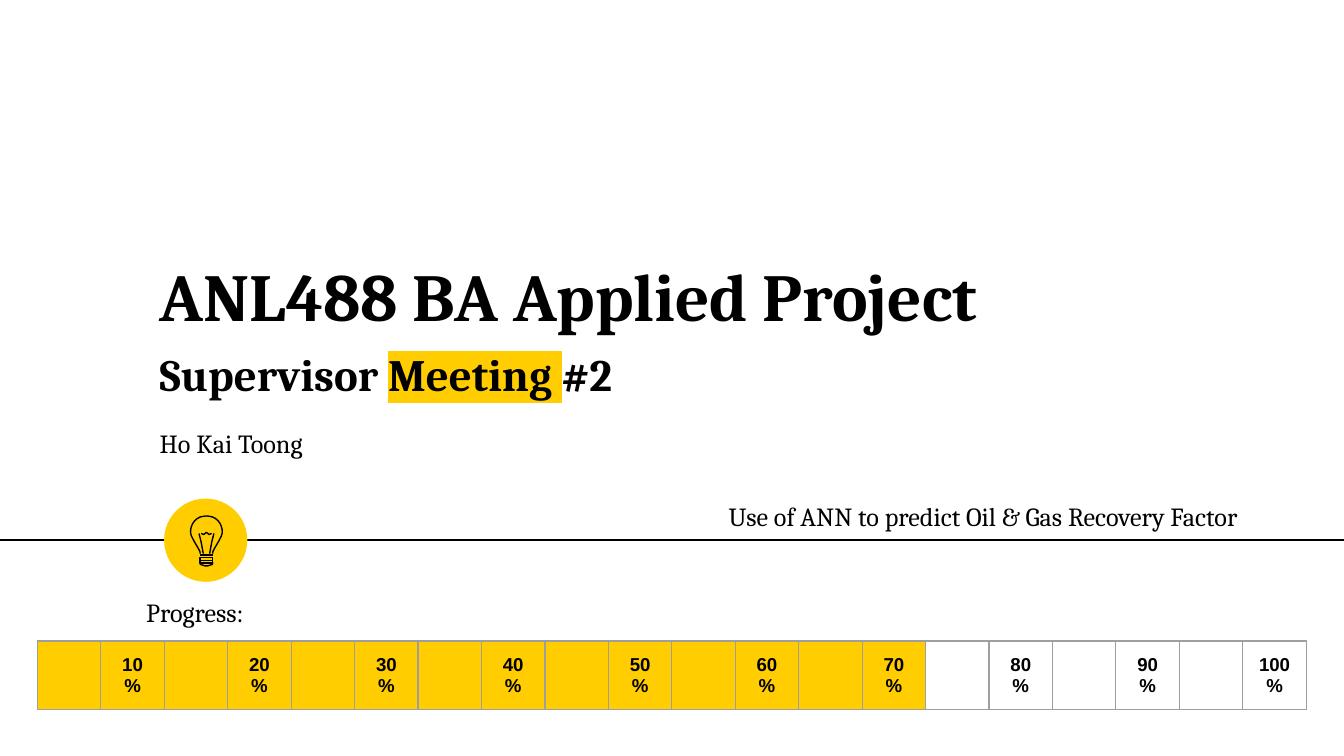
from lxml import etree
from pptx import Presentation
from pptx.dml.color import RGBColor
from pptx.enum.shapes import MSO_CONNECTOR, MSO_SHAPE
from pptx.enum.text import MSO_ANCHOR, MSO_AUTO_SIZE, PP_ALIGN
from pptx.oxml import parse_xml
from pptx.oxml.ns import nsdecls, qn
from pptx.util import Pt


class Theme:
    black = RGBColor.from_string("000000")
    accent = RGBColor.from_string("FFCD00")
    grid = RGBColor.from_string("9E9E9E")
    serif, sans = "Cambria", "Arial"
    title, subtitle, body, label = 36, 24, 14, 10
    line, inset = 0.75, 7.2


# Content: (left, top, width, height), size, bold, anchor, runs as (words, highlighted)
TEXTS = [
    ((78.5, 127.4, 501, 59), Theme.title, True, MSO_ANCHOR.BOTTOM,
     [("ANL488 BA Applied Project", False)]),
    ((78.5, 178.6, 451.5, 44), Theme.subtitle, True, MSO_ANCHOR.TOP,
     [("Supervisor ", False), ("Meeting ", True), ("#2", False)]),
    ((78.5, 221.8, 145, 31.7), Theme.body, False, MSO_ANCHOR.TOP,
     [("Ho Kai Toong", False)]),
    ((71.2, 312.2, 148, 31.7), Theme.body, False, MSO_ANCHOR.TOP,
     [("Progress:", False)]),
    ((383.2, 260.8, 336, 31.7), Theme.body, False, MSO_ANCHOR.TOP,
     [("Use of ANN to predict Oil & Gas Recovery Factor", False)]),
]
PROGRESS, STEP, CELLS = 70, 5, 20

SLIDE_W, SLIDE_H = 720, 405
RULE_Y = 289.4
DISC_X, DISC_SIZE = 110.2, 44.6
TABLE_TOP, CELL_W, CELL_H = 343.4, 34, 31

# Light bulb, measured from its axis on the rule; right halves are mirrored
BULB_X = 110.6
GLASS = [(3.3, 7.2), (3.5, 6), (4.3, 4.5), (5.3, 2.7), (6.5, 0.7), (7.2, -0.7),
         (8, -2.2), (8.4, -3.6), (8.5, -4.3), (8.4, -5.8), (8, -7.4), (7.3, -9),
         (6.2, -10.5), (4.9, -11.6), (3.4, -12.4), (1.7, -12.8), (0, -13)]
WIRE = [(4, -3.6), (2.9, 0.7), (1.7, 7.2)]
COIL = [(2.8, -3.6), (1.4, -3), (0, -4.2)]
CAP = [(3.4, 12.2), (3.2, 13), (0.7, 13.8)]
BAND_TOPS, BAND_H, BASE_HALF, NECK_Y = (9.4, 10.8), 1.4, 3.4, 7.9


def mirror(points):
    return [(-x, y) for x, y in points]


def symmetric(half):
    return half + mirror(half)[::-1]


def style_font(font, **values):
    font.color.rgb = Theme.black
    for name, value in values.items():
        setattr(font, name, value)


def set_insets(holder):
    for side in ("left", "top", "right", "bottom"):
        setattr(holder, f"margin_{side}", Pt(Theme.inset))


def add_line(shapes, x1, y1, x2, y2):
    rule = shapes.add_connector(MSO_CONNECTOR.STRAIGHT, Pt(x1), Pt(y1), Pt(x2), Pt(y2))
    rule.line.color.rgb = Theme.black
    rule.line.width = Pt(Theme.line)
    etree.SubElement(rule._element.spPr, qn("a:effectLst"))


def add_outline(shapes, points, close=False):
    # The builder rounds to whole units, so work in hundredths of a point
    units = [(x * 100, y * 100) for x, y in points]
    builder = shapes.build_freeform(*units[0], scale=Pt(1) / 100)
    builder.add_line_segments(units[1:], close=close)
    outline = builder.convert_to_shape(Pt(BULB_X), Pt(RULE_Y))
    outline.shadow.inherit = False
    outline.fill.background()
    outline.line.color.rgb = Theme.black
    outline.line.width = Pt(Theme.line)


def add_text(shapes, box, size, bold, anchor, runs):
    frame = shapes.add_textbox(*map(Pt, box)).text_frame
    frame.word_wrap = True
    frame.auto_size = MSO_AUTO_SIZE.NONE
    frame.vertical_anchor = anchor
    set_insets(frame)
    for words, highlighted in runs:
        run = frame.paragraphs[0].add_run()
        run.text = words
        style_font(run.font, name=Theme.serif, size=Pt(size), bold=bold)
        if highlighted:
            run._r.rPr.find(qn("a:solidFill")).addnext(parse_xml(
                f'<a:highlight {nsdecls("a")}><a:srgbClr val="{Theme.accent}"/></a:highlight>'))


def add_borders(cell):
    for position, side in enumerate("LRTB"):
        cell._tc.get_or_add_tcPr().insert(position, parse_xml(
            f'<a:ln{side} {nsdecls("a")} w="{Pt(Theme.line)}"><a:solidFill>'
            f'<a:srgbClr val="{Theme.grid}"/></a:solidFill></a:ln{side}>'))


def add_progress(shapes):
    width = CELLS * CELL_W
    table = shapes.add_table(1, CELLS, Pt((SLIDE_W - width) / 2), Pt(TABLE_TOP),
                             Pt(width), Pt(CELL_H)).table
    table.first_row = table.horz_banding = False
    for index, cell in enumerate(table.rows[0].cells, start=1):
        table.columns[index - 1].width = Pt(CELL_W)
        percent = index * STEP
        if percent <= PROGRESS:
            cell.fill.solid()
            cell.fill.fore_color.rgb = Theme.accent
        else:
            cell.fill.background()
        add_borders(cell)
        set_insets(cell)
        cell.vertical_anchor = MSO_ANCHOR.MIDDLE
        label = cell.text_frame.paragraphs[0]
        label.alignment = PP_ALIGN.CENTER
        style_font(label.font, name=Theme.sans, size=Pt(Theme.label), bold=True)
        if index % 2 == 0:
            run = label.add_run()
            run.text = f"{percent}%"
            style_font(run.font, name=Theme.sans, size=Pt(Theme.label), bold=True)


def main():
    deck = Presentation()
    deck.slide_width, deck.slide_height = Pt(SLIDE_W), Pt(SLIDE_H)
    shapes = deck.slides.add_slide(deck.slide_layouts[6]).shapes

    # Rule and disc
    add_line(shapes, 0, RULE_Y, SLIDE_W, RULE_Y)
    disc = shapes.add_shape(MSO_SHAPE.OVAL, Pt(DISC_X - DISC_SIZE / 2),
                            Pt(RULE_Y - DISC_SIZE / 2), Pt(DISC_SIZE), Pt(DISC_SIZE))
    disc.shadow.inherit = False
    disc.fill.solid()
    disc.fill.fore_color.rgb = Theme.accent
    disc.line.fill.background()

    # Light bulb
    for top in BAND_TOPS:
        add_outline(shapes, symmetric([(BASE_HALF, top), (BASE_HALF, top + BAND_H)]), close=True)
    add_outline(shapes, symmetric(CAP), close=True)
    for points in (symmetric(GLASS), WIRE, mirror(WIRE), symmetric(COIL)):
        add_outline(shapes, points)
    add_line(shapes, BULB_X - BASE_HALF, RULE_Y + NECK_Y, BULB_X + BASE_HALF, RULE_Y + NECK_Y)

    # Texts and progress bar
    for text in TEXTS:
        add_text(shapes, *text)
    add_progress(shapes)
    deck.save("out.pptx")


if __name__ == "__main__":
    main()
